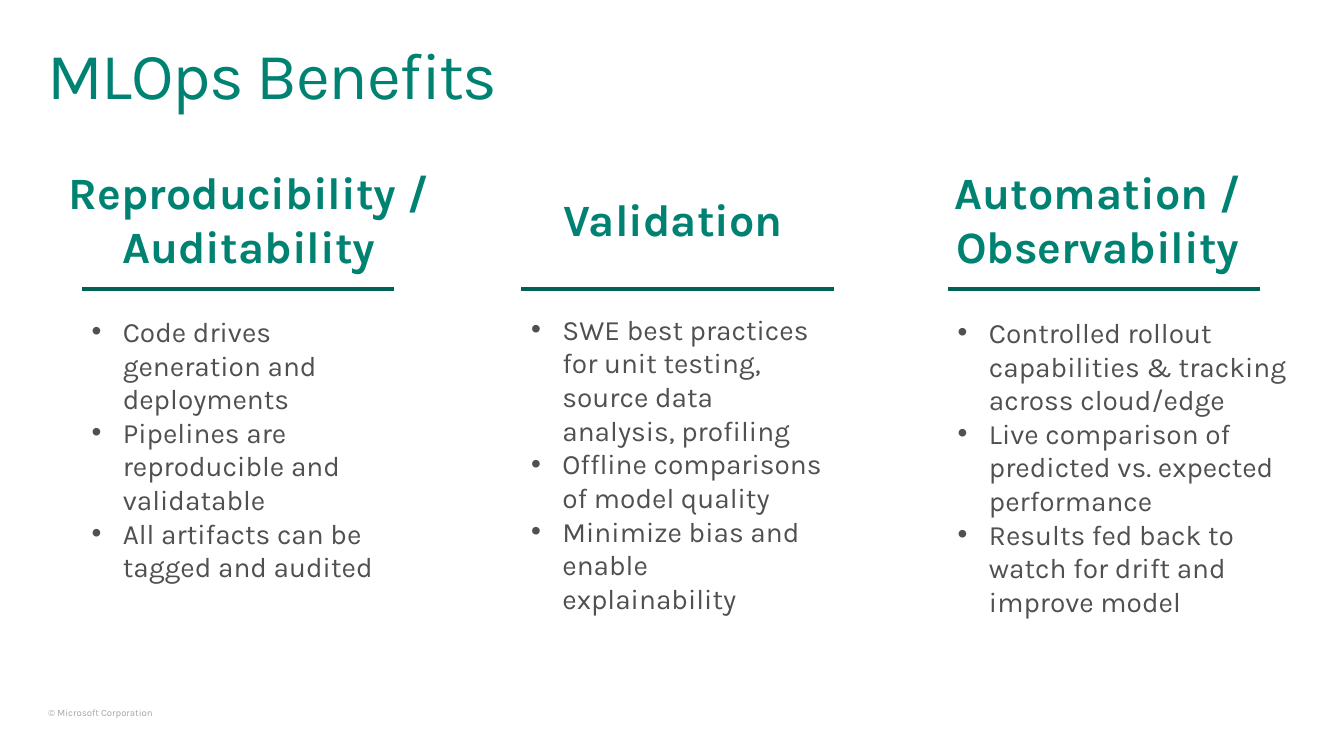
from lxml import etree
from pptx import Presentation
from pptx.dml.color import RGBColor
from pptx.enum.shapes import MSO_CONNECTOR
from pptx.enum.text import MSO_ANCHOR, MSO_AUTO_SIZE, PP_ALIGN
from pptx.oxml.ns import qn
from pptx.util import Inches, Pt

TEAL = RGBColor(0x00, 0x82, 0x72)
DARK_TEAL = RGBColor(0x00, 0x62, 0x56)
BODY_GRAY = RGBColor(0x50, 0x50, 0x50)
FOOTER_GRAY = RGBColor(0xA6, 0xA6, 0xA6)
STRAIGHT = MSO_CONNECTOR.STRAIGHT
TOP, MIDDLE = MSO_ANCHOR.TOP, MSO_ANCHOR.MIDDLE
LEFT, CENTER = PP_ALIGN.LEFT, PP_ALIGN.CENTER
NO_AUTOFIT = MSO_AUTO_SIZE.NONE

RULE_TOP = 2.87
RULE_WIDTH = 3.1
HEADING_WIDTH = 4
LIST_HEIGHT = 3.13

BENEFITS = [
    {
        "heading": "Reproducibility / Auditability",
        "heading_left": 0.47, "left": 0.81, "list_top": 3.07, "list_width": 3.1,
        "points": ["Code drives generation and deployments",
                   "Pipelines are reproducible and validatable",
                   "All artifacts can be tagged and audited"],
    },
    {
        "heading": "Validation",
        "heading_left": 4.68, "left": 5.17, "list_top": 3.05, "list_width": 3.1,
        "points": ["SWE best practices for unit testing, source data analysis, profiling",
                   "Offline comparisons of model quality",
                   "Minimize bias and enable explainability"],
    },
    {
        "heading": "Automation / Observability",
        "heading_left": 8.89, "left": 9.4, "list_top": 3.08, "list_width": 3.49,
        "points": ["Controlled rollout capabilities & tracking across cloud/edge",
                   "Live comparison of predicted vs. expected performance",
                   "Results fed back to watch for drift and improve model"],
    },
]


class BenefitsSlide:
    """Holds the slide and its style, and draws each kind of element."""

    font_name = "Karla"

    def __init__(self, presentation):
        self.slide = presentation.slides.add_slide(presentation.slide_layouts[5])

    def add_run(self, paragraph, text, size, color, bold=False):
        run = paragraph.add_run()
        run.text = text
        run.font.name = self.font_name
        run.font.size = Pt(size)
        run.font.color.rgb = color
        run.font.bold = bold
        return run

    def prepare_frame(self, shape, insets, anchor=TOP, wrap=True):
        frame = shape.text_frame
        frame.auto_size = NO_AUTOFIT
        frame.word_wrap = wrap
        frame.vertical_anchor = anchor
        (frame.margin_left, frame.margin_top,
         frame.margin_right, frame.margin_bottom) = map(Inches, insets)
        return frame

    def add_text_box(self, left, top, width, height, insets, anchor=TOP, wrap=True):
        box = self.slide.shapes.add_textbox(
            Inches(left), Inches(top), Inches(width), Inches(height))
        return self.prepare_frame(box, insets, anchor, wrap)

    def set_title(self, text):
        title = self.slide.shapes.title
        title.left, title.top = Inches(0.47), Inches(0.24)
        title.width, title.height = Inches(12.4), Inches(0.81)
        paragraph = self.prepare_frame(title, (0, 0.18, 0, 0)).paragraphs[0]
        paragraph.alignment = LEFT
        paragraph.line_spacing = 0.9
        run = self.add_run(paragraph, text, 47, TEAL)
        run.font._element.set("spc", "-100")

    def add_heading(self, text, left):
        frame = self.add_text_box(left, 1.57, HEADING_WIDTH, 1.2, (0, 0, 0, 0), MIDDLE)
        paragraph = frame.paragraphs[0]
        paragraph.alignment = CENTER
        paragraph.space_after = Pt(6.9)
        self.add_run(paragraph, text, 32, TEAL, bold=True)

    def add_rule(self, left):
        rule = self.slide.shapes.add_connector(
            STRAIGHT, Inches(left), Inches(RULE_TOP),
            Inches(left + RULE_WIDTH), Inches(RULE_TOP))
        rule.line.color.rgb = DARK_TEAL
        rule.line.width = Pt(3)
        etree.SubElement(rule._element.spPr, qn("a:effectLst"))

    def add_bullets(self, points, left, top, width):
        frame = self.add_text_box(left, top, width, LIST_HEIGHT, (0.1, 0.05, 0.1, 0.05))
        for index, point in enumerate(points):
            paragraph = frame.add_paragraph() if index else frame.paragraphs[0]
            properties = paragraph._p.get_or_add_pPr()
            properties.set("marL", str(Inches(0.31)))
            properties.set("indent", str(Inches(-0.31)))
            etree.SubElement(properties, qn("a:buFont"), typeface="Arial")
            etree.SubElement(properties, qn("a:buChar"), char="•")
            self.add_run(paragraph, point, 20, BODY_GRAY)

    def add_footer(self, text):
        frame = self.add_text_box(0.48, 7.03, 1.06, 0.1, (0, 0, 0, 0), wrap=False)
        paragraph = frame.paragraphs[0]
        paragraph.line_spacing = 0.9
        self.add_run(paragraph, text, 6.9, FOOTER_GRAY)


def main():
    presentation = Presentation()
    presentation.slide_width = Inches(13.33)
    presentation.slide_height = Inches(7.5)
    slide = BenefitsSlide(presentation)
    slide.add_footer("© Microsoft Corporation")
    slide.set_title("MLOps Benefits")
    for benefit in BENEFITS:
        slide.add_heading(benefit["heading"], benefit["heading_left"])
        slide.add_bullets(benefit["points"], benefit["left"],
                          benefit["list_top"], benefit["list_width"])
        slide.add_rule(benefit["left"])
    presentation.save("out.pptx")


if __name__ == "__main__":
    main()
